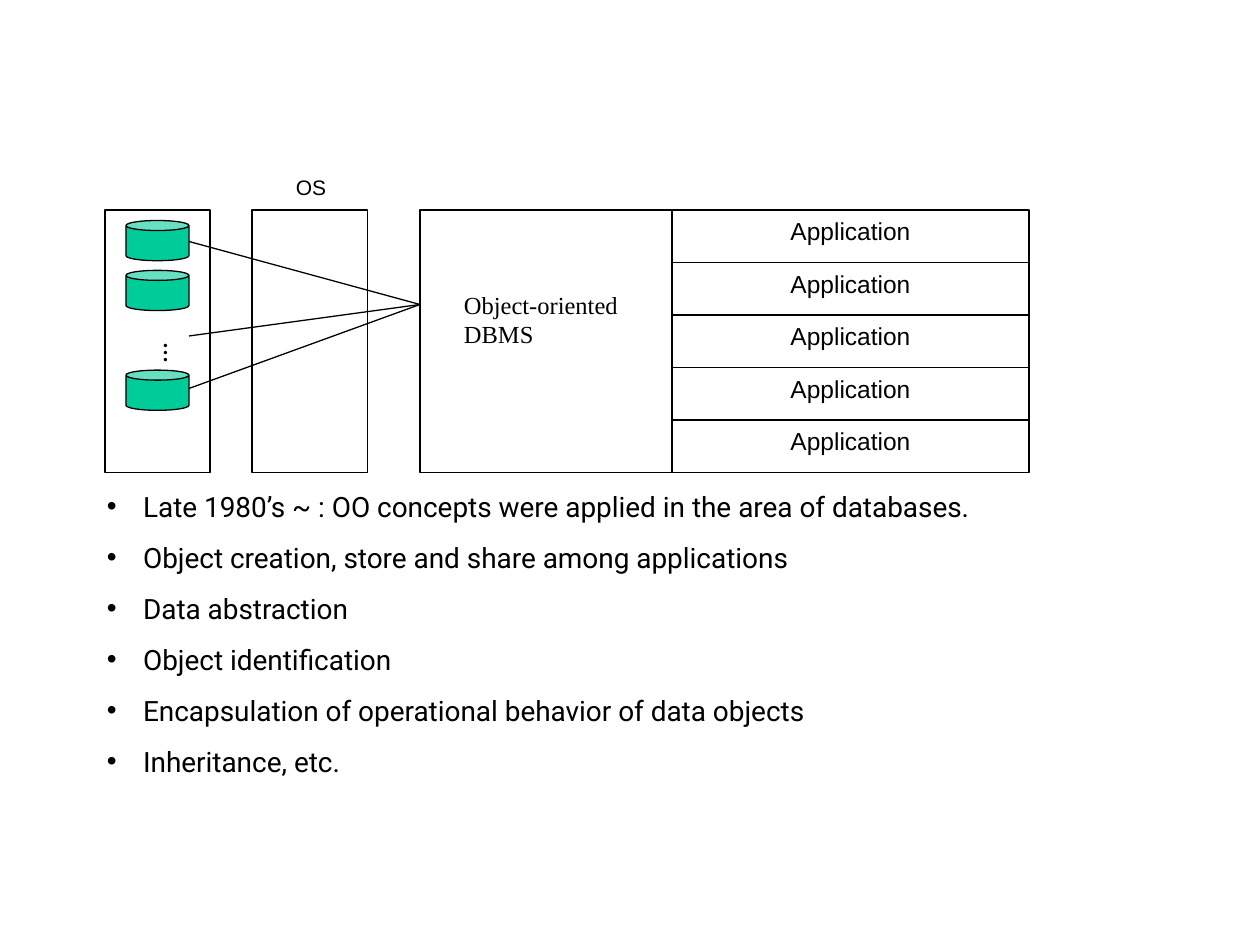
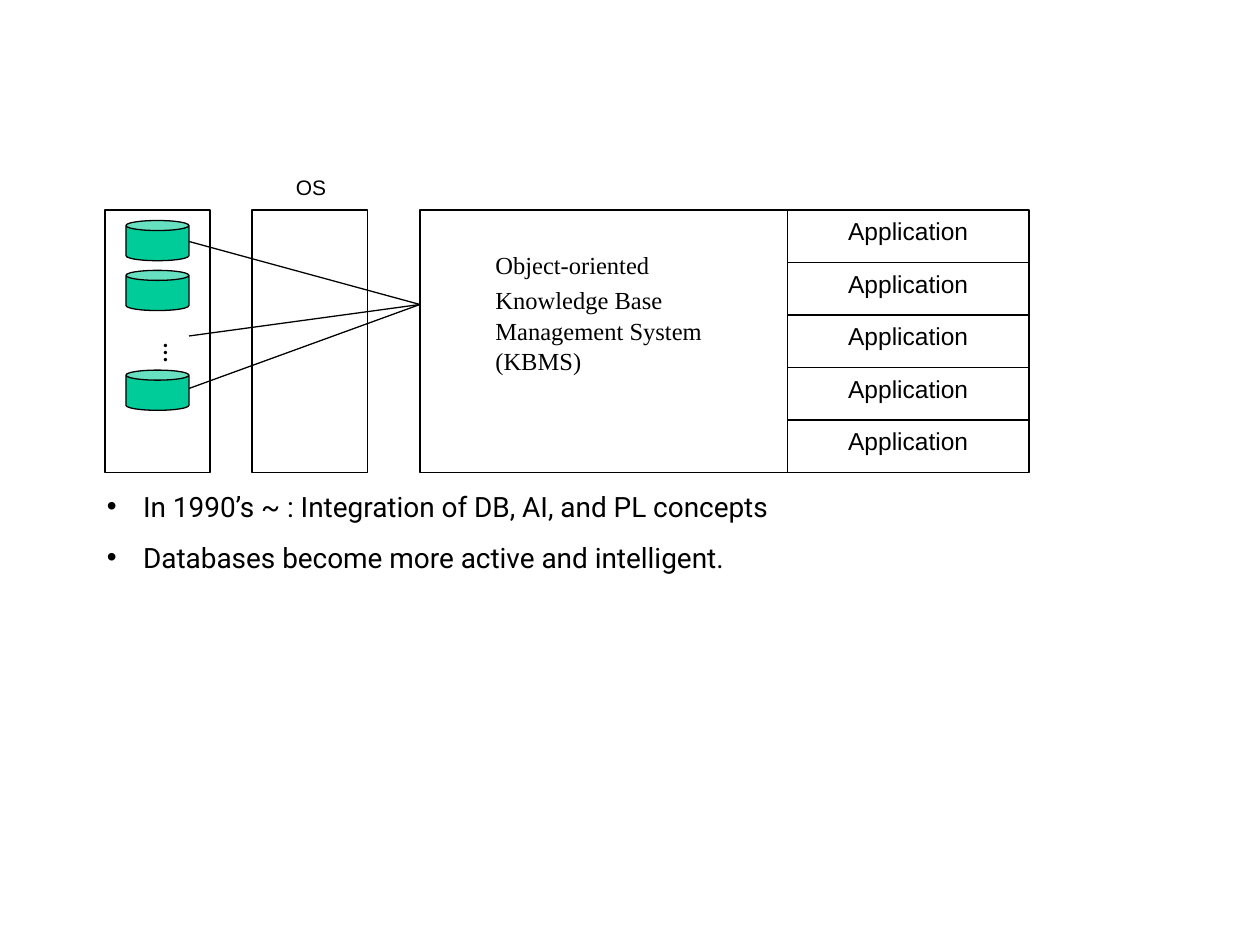
from lxml.etree import SubElement
from pptx import Presentation
from pptx.dml.color import RGBColor
from pptx.enum.shapes import MSO_CONNECTOR, MSO_SHAPE
from pptx.enum.text import MSO_ANCHOR, PP_ALIGN
from pptx.oxml.ns import qn
from pptx.util import Pt

INK, GREEN = "000000", "00CC99"
SANS, SERIF, BODY = "Arial", "Times New Roman", "Roboto"

# "split" is where the system box ends and the applications begin
SLIDES = [
    {
        "split": 384,
        "system": ["Object-oriented DBMS"],
        "label": (258, 162, 114, 41),
        "format": {},
        "points": [
            "Late 1980’s ~ : OO concepts were applied in the area of databases.",
            "Object creation, store and share among applications",
            "Data abstraction",
            "Object identification",
            "Encapsulation of operational behavior of data objects",
            "Inheritance, etc.",
        ],
    },
    {
        "split": 450,
        "system": ["Object-oriented", "Knowledge Base", "Management System", "(KBMS)"],
        "label": (276, 144, 144, 69),
        "format": {"pitch": [0.5, 0.7, 0.5, 0.5], "inset": (7.2, 6, 7.2, 0)},
        "points": [
            "In 1990’s ~ : Integration of DB, AI, and PL concepts",
            "Databases become more active and intelligent.",
        ],
    },
]

TOP, HIGH = 120, 150
DISKS, OS, SYSTEM, RIGHT = 60, 144, 240, 588
APPS = 5
HUB = (SYSTEM, 174)
ENDS = [138, 222, 192]
DISK_X, DISK_W, DISK_H = 72, 36, 23
DISK_TOP, DISK_STEP = 126, 28.5
DISK_ROWS = [0, 1, 3]
HANG = 20.7


def color(code):
    return RGBColor.from_string(code)


def write(shape, lines, size=14, font=SANS, bold=False, align=PP_ALIGN.LEFT,
          before=8.8, pitch=None, inset=(7.2, 3.6, 7.2, 3.6), bullet=None, turn=None):
    frame = shape.text_frame
    frame.word_wrap = True
    frame.vertical_anchor = MSO_ANCHOR.TOP
    frame.margin_left, frame.margin_top, frame.margin_right, frame.margin_bottom = map(Pt, inset)
    if turn:
        shape.element.txBody.find(qn("a:bodyPr")).set("vert", turn)
    for i, line in enumerate(lines):
        para = frame.paragraphs[0] if i == 0 else frame.add_paragraph()
        para.alignment = align
        para.space_before = Pt(before)
        if pitch:
            para.line_spacing = pitch[i]
        run = para.add_run()
        run.text = line
        run.font.size, run.font.name, run.font.bold = Pt(size), font, bold
        run.font.color.rgb = color(INK)
        if bullet:
            props = para._p.get_or_add_pPr()
            props.set("marL", str(Pt(HANG)))
            props.set("indent", str(-Pt(HANG)))
            SubElement(props, qn("a:buFont"), typeface=SANS)
            SubElement(props, qn("a:buChar"), char=bullet)


def text(slide, place, lines, **format):
    write(slide.shapes.add_textbox(*map(Pt, place)), lines, **format)


def draw(slide, place, kind=MSO_SHAPE.RECTANGLE, fill=None):
    shape = slide.shapes.add_shape(kind, *map(Pt, place))
    shape.shadow.inherit = False
    if fill:
        shape.fill.solid()
        shape.fill.fore_color.rgb = color(fill)
    else:
        shape.fill.background()
    shape.line.color.rgb = color(INK)
    shape.line.width = Pt(0.75)
    return shape


def link(slide, start, end):
    line = slide.shapes.add_connector(MSO_CONNECTOR.STRAIGHT, *map(Pt, start + end))
    line.line.color.rgb = color(INK)
    line.line.width = Pt(0.75)
    SubElement(line.element.spPr, qn("a:effectLst"))


def store(slide):
    """Draw the disks, the OS box and the links to the system."""
    draw(slide, (OS, TOP, 66, HIGH))
    text(slide, (162, 96, 42, 21.6), ["OS"], size=12, before=7.5)
    for y in ENDS:
        link(slide, HUB, (DISK_X + DISK_W, y))
    for row in DISK_ROWS:
        place = (DISK_X, DISK_TOP + row * DISK_STEP, DISK_W, DISK_H)
        draw(slide, place, MSO_SHAPE.CAN, GREEN)
    text(slide, (78.5, 188.6, 28.8, 17.3), ["…"], size=12, font=SERIF, bold=True,
         before=7.5, inset=(3.6, 7.2, 3.6, 7.2), turn="eaVert")
    draw(slide, (DISKS, TOP, 60, HIGH))


def system(slide, item):
    """Draw the system box and its stack of applications."""
    split, step = item["split"], HIGH / APPS
    draw(slide, (SYSTEM, TOP, split - SYSTEM, HIGH))
    for i in range(APPS):
        app = draw(slide, (split, TOP + i * step, RIGHT - split, step))
        write(app, ["Application"], align=PP_ALIGN.CENTER)
    text(slide, item["label"], item["system"], font=SERIF, **item["format"])


def main():
    deck = Presentation()
    deck.slide_width, deck.slide_height = Pt(720), Pt(540)
    for item in SLIDES:
        slide = deck.slides.add_slide(deck.slide_layouts[6])
        store(slide)
        system(slide, item)
        count = len(item["points"])
        text(slide, (54, 276, 582, 29 * count), item["points"],
             size=16, font=BODY, before=10, bullet="•")
    deck.save("out.pptx")


if __name__ == "__main__":
    main()
